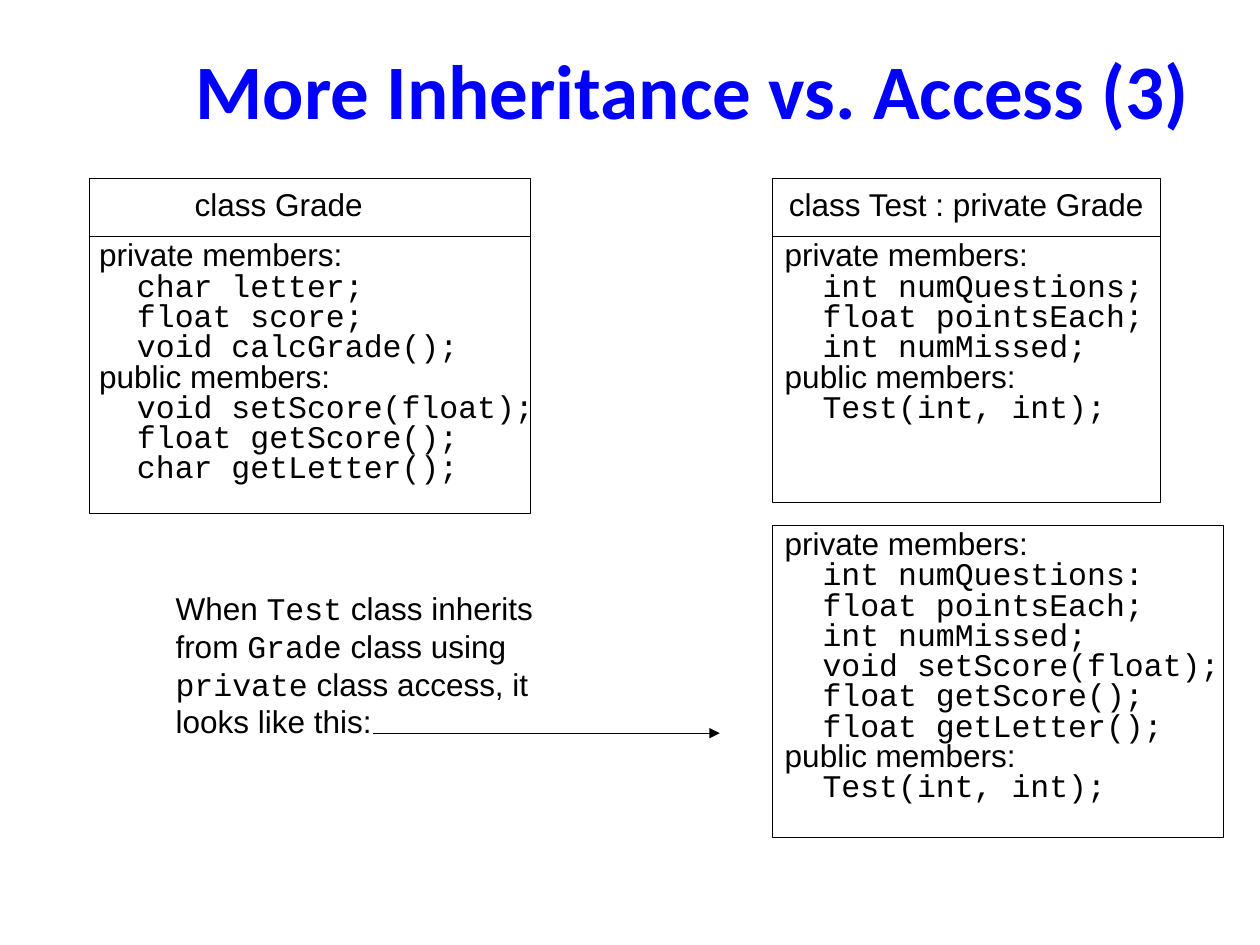
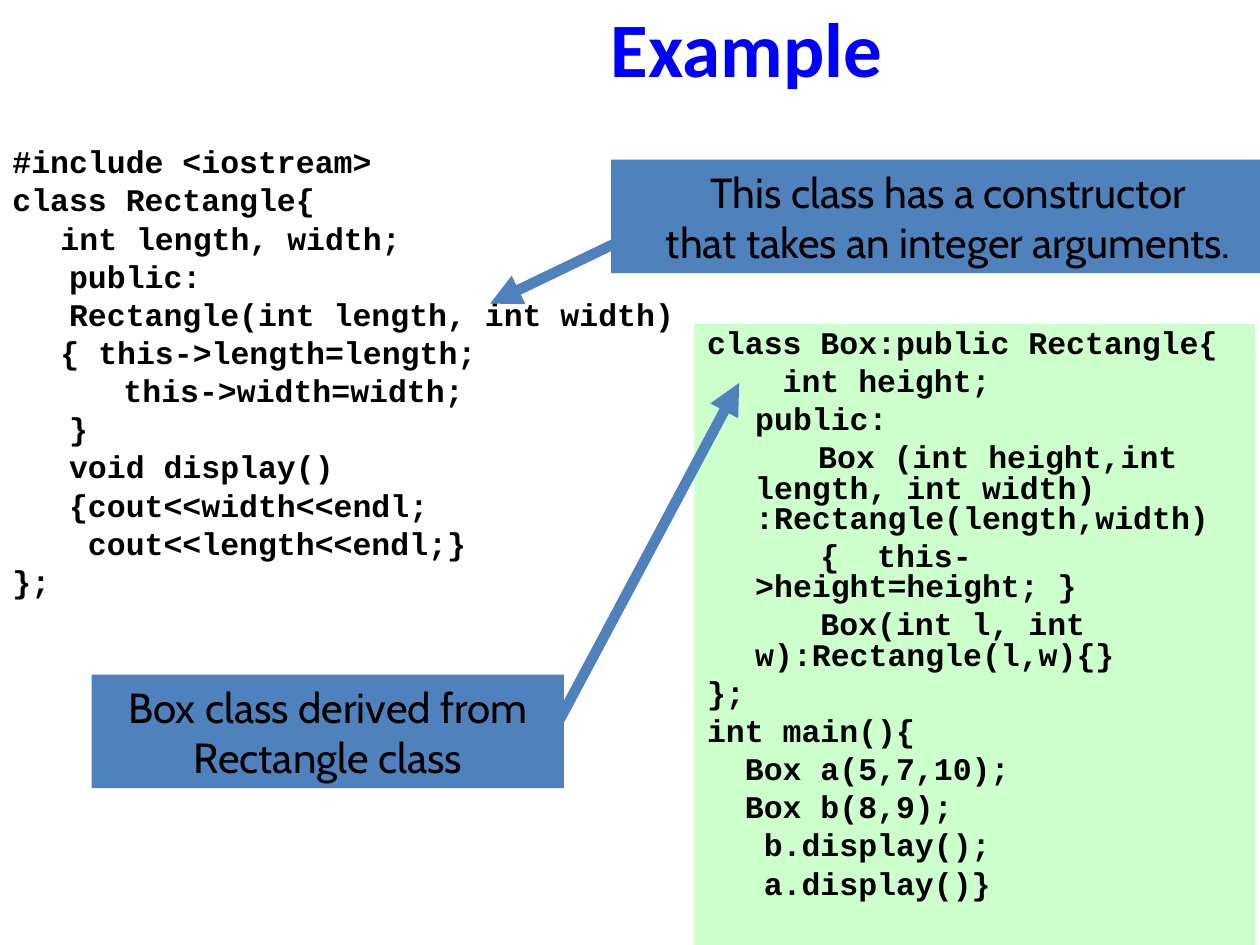
import pptx
import pptx.dml.color
import pptx.enum.shapes
import pptx.enum.text
import pptx.oxml.ns
import pptx.util
from lxml import etree

Cm = pptx.util.Cm
Pt = pptx.util.Pt
RGB = pptx.dml.color.RGBColor
ALIGN = pptx.enum.text.PP_ALIGN
ANCHOR = pptx.enum.text.MSO_ANCHOR
qn = pptx.oxml.ns.qn

# Shared style
TITLE_BLUE = RGB(0x00, 0x00, 0xFF)
CALLOUT_BLUE = RGB(0x4F, 0x81, 0xBD)
CODE_GREEN = RGB(0xCC, 0xFF, 0xCC)
WHITE = RGB(0xFF, 0xFF, 0xFF)
BLACK = RGB(0x00, 0x00, 0x00)
SANS, MONO, HEADING, CALLOUT_FONT = "Arial", "Courier New", "Calibri", "Cabin"
TITLE_ONLY, TITLE_AND_CONTENT = 5, 1
TIGHT = 0.8
CODE_INDENT = Cm(0.97)
CODE_TABS = (Cm(0), Cm(2.54))

GRADE_MEMBERS = [
    "private members:", "  char letter;", "  float score;", "  void calcGrade();",
    "public members:", "  void setScore(float);", "  float getScore();",
    "  char getLetter();",
]
TEST_MEMBERS = [
    "private members:", "  int numQuestions;", "  float pointsEach;",
    "  int numMissed;", "public members:", "  Test(int, int);",
]
INHERITED_MEMBERS = [
    "private members:", "  int numQuestions:", "  float pointsEach;",
    "  int numMissed;", "  void setScore(float);", "  float getScore();",
    "  float getLetter();", "public members:", "  Test(int, int);",
]
INHERITANCE_NOTE = [
    [("When ", SANS), ("Test", MONO), (" class inherits", SANS)],
    [("from ", SANS), ("Grade", MONO), (" class using", SANS)],
    [("private", MONO), (" class access, it looks like this:", SANS)],
]
RECTANGLE_CODE = [
    "#include <iostream>",
    "class Rectangle{",
    "\tint length, width;",
    "   public:",
    "   Rectangle(int length, int width)",
    "\t{ this->length=length;",
    "   \tthis->width=width;",
    "   }",
    "   void display()",
    "   {cout<<width<<endl;",
    "    cout<<length<<endl;}",
    "};",
]
BOX_CODE = [
    "class Box:public Rectangle{",
    "    int height;",
    "\tpublic:",
    "   \tBox (int height,int length, int width)\n:Rectangle(length,width)",
    "      {  this->height=height; }",
    "      Box(int l, int w):Rectangle(l,w){}",
    "};",
    "int main(){",
    "  Box a(5,7,10);",
    "  Box b(8,9);",
    "   b.display();",
    "   a.display()}",
]


def place(shape, box):
    shape.left, shape.top, shape.width, shape.height = (Cm(v) for v in box)


def paint(shape, color):
    shape.fill.solid()
    shape.fill.fore_color.rgb = color


def add_run(paragraph, text, font, size=18, color=BLACK, bold=False):
    run = paragraph.add_run()
    run.text = text
    run.font.name = font
    run.font.size = Pt(size)
    run.font.color.rgb = color
    run.font.bold = bold


def paragraphs(frame, count):
    """Yield the first paragraph of a frame, then new ones up to count."""
    yield frame.paragraphs[0]
    for _ in range(count - 1):
        yield frame.add_paragraph()


def add_title(slide, text, box):
    title = slide.shapes.title
    place(title, box)
    paint(title, WHITE)
    frame = title.text_frame
    frame.auto_size = pptx.enum.text.MSO_AUTO_SIZE.NONE
    frame.vertical_anchor = ANCHOR.MIDDLE
    frame.paragraphs[0].alignment = ALIGN.CENTER
    add_run(frame.paragraphs[0], text, HEADING, 44, TITLE_BLUE, True)


def add_text_area(slide, box, fill=None):
    area = slide.shapes.add_textbox(*(Cm(v) for v in box))
    area.text_frame.word_wrap = True
    if fill is not None:
        paint(area, fill)
    return area


def add_rectangle(slide, box, fill=None, line=None):
    rectangle = slide.shapes.add_shape(
        pptx.enum.shapes.MSO_SHAPE.RECTANGLE, *(Cm(v) for v in box))
    rectangle.shadow.inherit = False
    if fill is None:
        rectangle.fill.background()
    else:
        paint(rectangle, fill)
    if line is None:
        rectangle.line.fill.background()
    else:
        rectangle.line.color.rgb = line
        rectangle.line.width = Pt(0.75)
    return rectangle


def add_arrow(slide, start, end, color, width):
    arrow = slide.shapes.add_connector(
        pptx.enum.shapes.MSO_CONNECTOR.STRAIGHT,
        *(Cm(v) for v in (*start, *end)))
    arrow.line.color.rgb = color
    arrow.line.width = Pt(width)
    etree.SubElement(arrow.line._get_or_add_ln(), qn("a:tailEnd"), type="triangle")
    etree.SubElement(arrow._element.spPr, qn("a:effectLst"))


# Class diagram parts
def add_class_header(slide, box, name, right_inset=0):
    header = add_rectangle(slide, box, line=BLACK)
    frame = header.text_frame
    frame.word_wrap = True
    frame.vertical_anchor = ANCHOR.TOP
    frame.margin_left = 0
    frame.margin_right = Cm(right_inset)
    frame.paragraphs[0].alignment = ALIGN.CENTER
    add_run(frame.paragraphs[0], name, SANS)


def add_members(slide, box, members, inset=0.25):
    left, top, width, height = box
    add_rectangle(slide, box, line=BLACK)
    frame = add_text_area(slide, (left, top, width + 0.5, height)).text_frame
    frame.margin_left, frame.margin_right = Cm(inset), 0
    for paragraph, member in zip(paragraphs(frame, len(members)), members):
        paragraph.line_spacing = TIGHT
        add_run(paragraph, member, SANS if member.endswith("members:") else MONO)


def add_class(slide, box, name, members, name_inset=0, member_inset=0.25):
    left, top, width, height = box
    header_height = 1.17
    add_class_header(slide, (left, top, width, header_height), name, name_inset)
    add_members(slide, (left, top + header_height, width, height - header_height),
                members, member_inset)


def add_note(slide, box, lines):
    left, top, width, height = box
    frame = add_text_area(slide, box, WHITE).text_frame
    for paragraph, pieces in zip(paragraphs(frame, len(lines)), lines):
        for text, font in pieces:
            add_run(paragraph, text, font)
    arrow_y = top + 3.03
    add_arrow(slide, (left + 4.23, arrow_y), (left + 11.22, arrow_y), BLACK, 0.75)


# Code listing parts
def format_code_paragraph(paragraph, is_first):
    paragraph.line_spacing = TIGHT
    paragraph.space_before = Pt(0 if is_first else 4.5)
    properties = paragraph._p.get_or_add_pPr()
    properties.set("marL", str(CODE_INDENT))
    properties.set("indent", str(-CODE_INDENT))
    etree.SubElement(properties, qn("a:buNone"))
    tabs = etree.SubElement(properties, qn("a:tabLst"))
    for stop in CODE_TABS:
        etree.SubElement(tabs, qn("a:tab"), pos=str(stop), algn="l")


def fill_code(frame, lines):
    frame.auto_size = pptx.enum.text.MSO_AUTO_SIZE.NONE
    frame.vertical_anchor = ANCHOR.TOP
    for index, paragraph in enumerate(paragraphs(frame, len(lines))):
        format_code_paragraph(paragraph, index == 0)
        first, *continued = lines[index].split("\n")
        add_run(paragraph, first, MONO, bold=True)
        for part in continued:
            paragraph.add_line_break()
            add_run(paragraph, part, MONO, bold=True)


def add_callout(slide, box, lines):
    callout = add_rectangle(slide, box, fill=CALLOUT_BLUE)
    frame = callout.text_frame
    frame.word_wrap = False
    frame.vertical_anchor = ANCHOR.MIDDLE
    for paragraph, line in zip(paragraphs(frame, len(lines)), lines):
        paragraph.alignment = ALIGN.CENTER
        add_run(paragraph, line, CALLOUT_FONT, 24)


# Slides
def build_access_slide(deck):
    slide = deck.slides.add_slide(deck.slide_layouts[TITLE_ONLY])
    add_title(slide, "More Inheritance vs. Access (3)", (2.54, 0.84, 22.86, 1.9))
    top, test_left = 3.6, 15.57
    add_class(slide, (1.8, top, 8.89, 6.76), "class Grade", GRADE_MEMBERS,
              name_inset=1.25, member_inset=0.2)
    add_class(slide, (test_left, top, 7.82, 6.53), "class Test : private Grade",
              TEST_MEMBERS)
    add_members(slide, (test_left, 10.59, 9.09, 6.3), INHERITED_MEMBERS)
    add_note(slide, (3.29, 11.75, 8.69, 3.3), INHERITANCE_NOTE)


def build_example_slide(deck):
    slide = deck.slides.add_slide(deck.slide_layouts[TITLE_AND_CONTENT])
    add_title(slide, "Example", (4.7, 0, 20.7, 1.9))
    box_listing = slide.placeholders[1]
    place(box_listing, (14, 6.53, 11.3, 12.52))
    paint(box_listing, CODE_GREEN)
    fill_code(box_listing.text_frame, BOX_CODE)
    rectangle_listing = add_text_area(slide, (0, 2.89, 13.97, 9.55), WHITE)
    fill_code(rectangle_listing.text_frame, RECTANGLE_CODE)
    add_callout(slide, (12.32, 3.22, 13.59, 2.29),
                ["This class has a constructor", "that takes an integer arguments."])
    add_callout(slide, (1.85, 13.6, 9.52, 2.29),
                ["Box class derived from", "Rectangle class"])
    add_arrow(slide, (12.83, 4.7), (9.88, 6.12), CALLOUT_BLUE, 6)
    add_arrow(slide, (11.05, 14.94), (14.9, 7.72), CALLOUT_BLUE, 6)


def main():
    deck = pptx.Presentation()
    deck.slide_width, deck.slide_height = Cm(25.4), Cm(19.05)
    build_access_slide(deck)
    build_example_slide(deck)
    deck.save("out.pptx")


if __name__ == "__main__":
    main()
